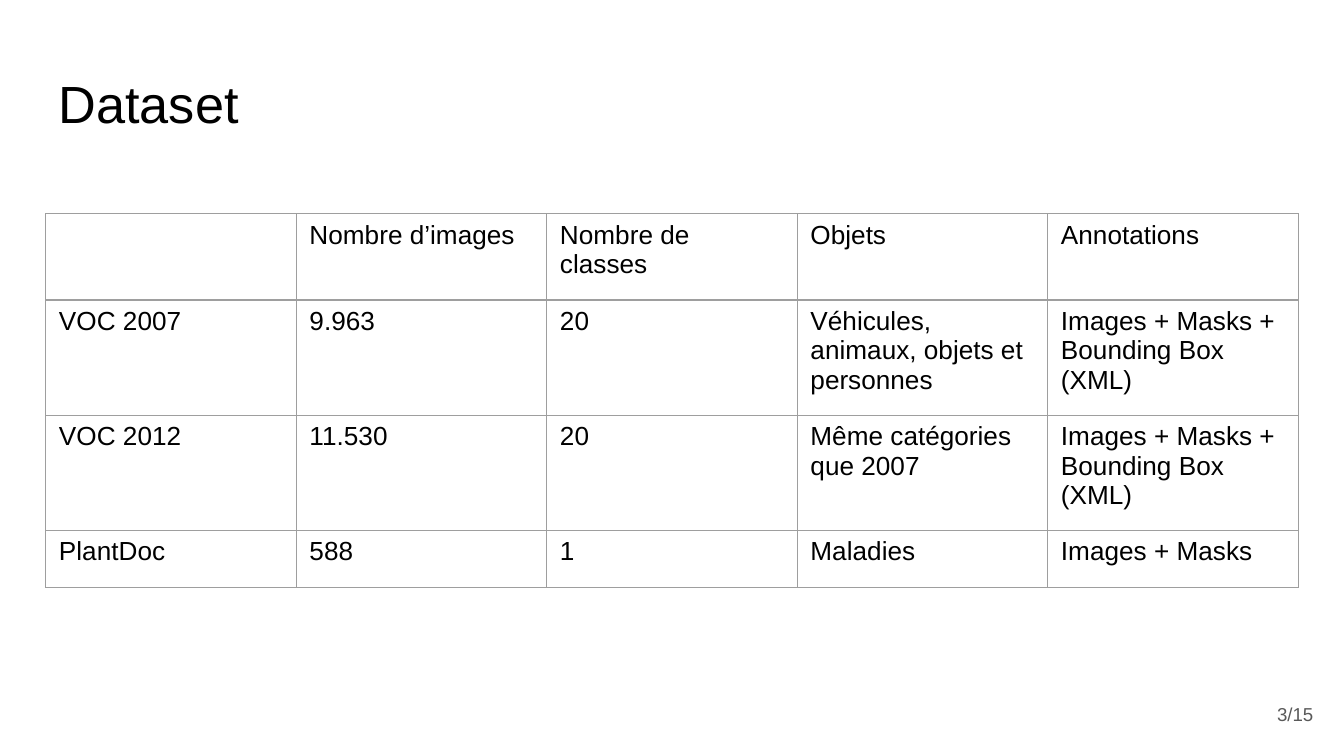
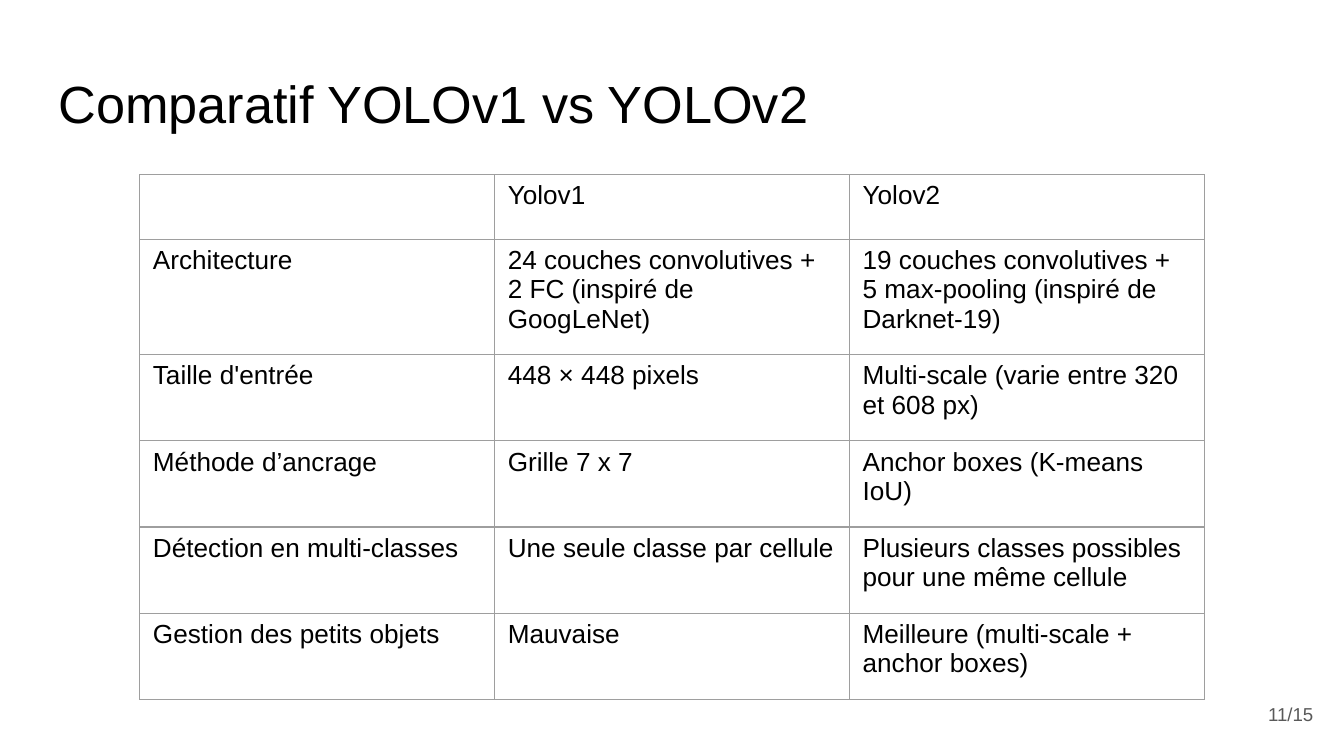
from dataclasses import dataclass

from lxml.etree import SubElement
from pptx import Presentation
from pptx.dml.color import RGBColor
from pptx.enum.text import MSO_ANCHOR as Anchor, PP_ALIGN as Align
from pptx.oxml.ns import qn
from pptx.slide import Slide
from pptx.table import _Cell as Cell
from pptx.text.text import TextFrame as Frame
from pptx.util import Cm, Pt

# Shared style
FONT = "Arial"
BLACK, GREY, RULE = "000000", "595959", "9E9E9E"
WIDE, HIGH = 25.4, 14.29
PAD = 0.25
TOTAL = 15
BOX = "Images + Masks + Bounding Box (XML)"


@dataclass
class Page:
    title: str
    num: int
    top: float
    width: float
    rows: list[list[str]]
    heights: list[float]


def tall(lines: int) -> float:
    """Height in cm of a row that holds this many lines."""
    return 0.53 + 0.55 * lines


def tint(code: str) -> RGBColor:
    return RGBColor.from_string(code)


def write(frame: Frame, text: str, size: int, code: str) -> None:
    frame.text = text
    for run in frame.paragraphs[0].runs:
        run.font.name = FONT
        run.font.size = Pt(size)
        run.font.color.rgb = tint(code)


def label(slide: Slide, text: str, spot: tuple[float, float, float, float],
          size: int, code: str) -> Frame:
    frame = slide.shapes.add_textbox(*map(Cm, spot)).text_frame
    frame.word_wrap = True
    frame.margin_left = frame.margin_right = Cm(PAD)
    frame.margin_top = frame.margin_bottom = Cm(PAD)
    write(frame, text, size, code)
    return frame


def edge(cell: Cell) -> None:
    """Draw the four borders, which come before the fill in the cell."""
    props = cell._tc.get_or_add_tcPr()
    for side in ("a:lnL", "a:lnR", "a:lnT", "a:lnB"):
        line = SubElement(props, qn(side), w=str(Pt(0.75)))
        fill = SubElement(line, qn("a:solidFill"))
        SubElement(fill, qn("a:srgbClr"), val=RULE)
    cell.fill.background()


def grid(slide: Slide, page: Page) -> None:
    cols = len(page.rows[0])
    left = (WIDE - page.width) / 2
    spot = (left, page.top, page.width, sum(page.heights))
    table = slide.shapes.add_table(len(page.rows), cols, *map(Cm, spot)).table
    table.first_row = table.horz_banding = False
    for col in table.columns:
        col.width = Cm(page.width / cols)
    for r, (texts, height) in enumerate(zip(page.rows, page.heights)):
        table.rows[r].height = Cm(height)
        for c, text in enumerate(texts):
            cell = table.cell(r, c)
            edge(cell)
            cell.margin_left = cell.margin_right = Cm(PAD)
            cell.margin_top = cell.margin_bottom = Cm(PAD / 2)
            write(cell.text_frame, text, 14, BLACK)


def draw(slide: Slide, page: Page) -> None:
    # Title
    head = label(slide, page.title, (0.86, 1.24, 23.67, 1.6), 28, BLACK)
    head.paragraphs[0].line_spacing = 0.9
    # Table
    grid(slide, page)
    # Page number
    foot = label(slide, f"{page.num}/{TOTAL}", (23.55, 12.95, 1.52, 1.09), 10, GREY)
    foot.vertical_anchor = Anchor.MIDDLE
    foot.paragraphs[0].alignment = Align.RIGHT


PAGES = [
    Page("Dataset", 3, 4.04, 23.67, [
        ["", "Nombre d’images", "Nombre de classes", "Objets", "Annotations"],
        ["VOC 2007", "9.963", "20", "Véhicules, animaux, objets et personnes", BOX],
        ["VOC 2012", "11.530", "20", "Même catégories que 2007", BOX],
        ["PlantDoc", "588", "1", "Maladies", "Images + Masks"],
    ], [tall(n) for n in (2, 3, 3, 1)]),
    Page("Comparatif YOLOv1 vs YOLOv2", 11, 3.3, 20.12, [
        ["", "Yolov1", "Yolov2"],
        ["Architecture", "24 couches convolutives + 2 FC (inspiré de GoogLeNet)",
         "19 couches convolutives + 5 max-pooling (inspiré de Darknet-19)"],
        ["Taille d'entrée", "448 × 448 pixels",
         "Multi-scale (varie entre 320 et 608 px)"],
        ["Méthode d’ancrage", "Grille 7 x 7", "Anchor boxes (K-means IoU)"],
        ["Détection en multi-classes", "Une seule classe par cellule",
         "Plusieurs classes possibles pour une même cellule"],
        ["Gestion des petits objets", "Mauvaise",
         "Meilleure (multi-scale + anchor boxes)"],
    ], [1.22] + [tall(n) for n in (3, 2, 2, 2, 2)]),
]


def main() -> None:
    deck = Presentation()
    deck.slide_width, deck.slide_height = Cm(WIDE), Cm(HIGH)
    for page in PAGES:
        draw(deck.slides.add_slide(deck.slide_layouts[6]), page)
    deck.save("out.pptx")


if __name__ == "__main__":
    main()
